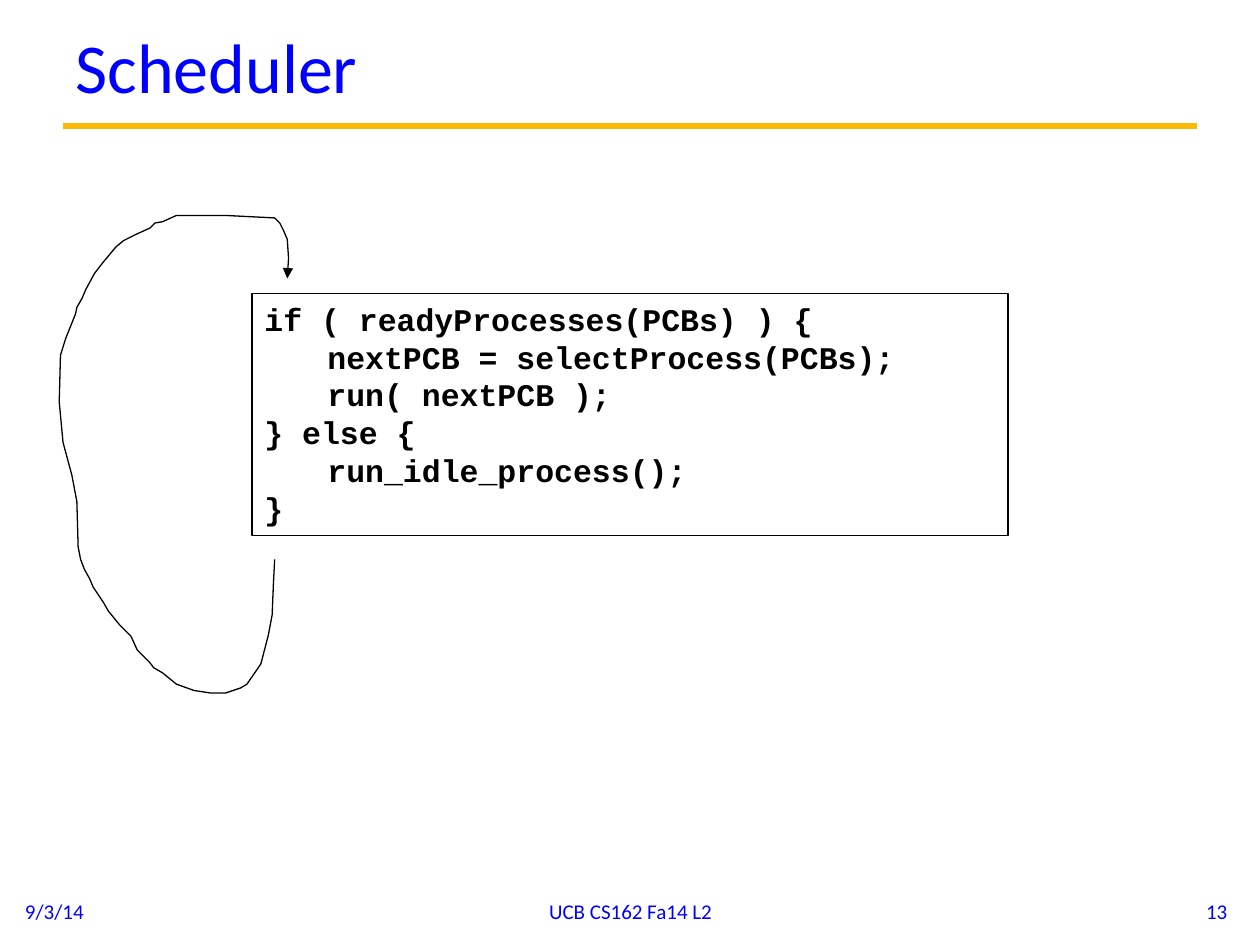
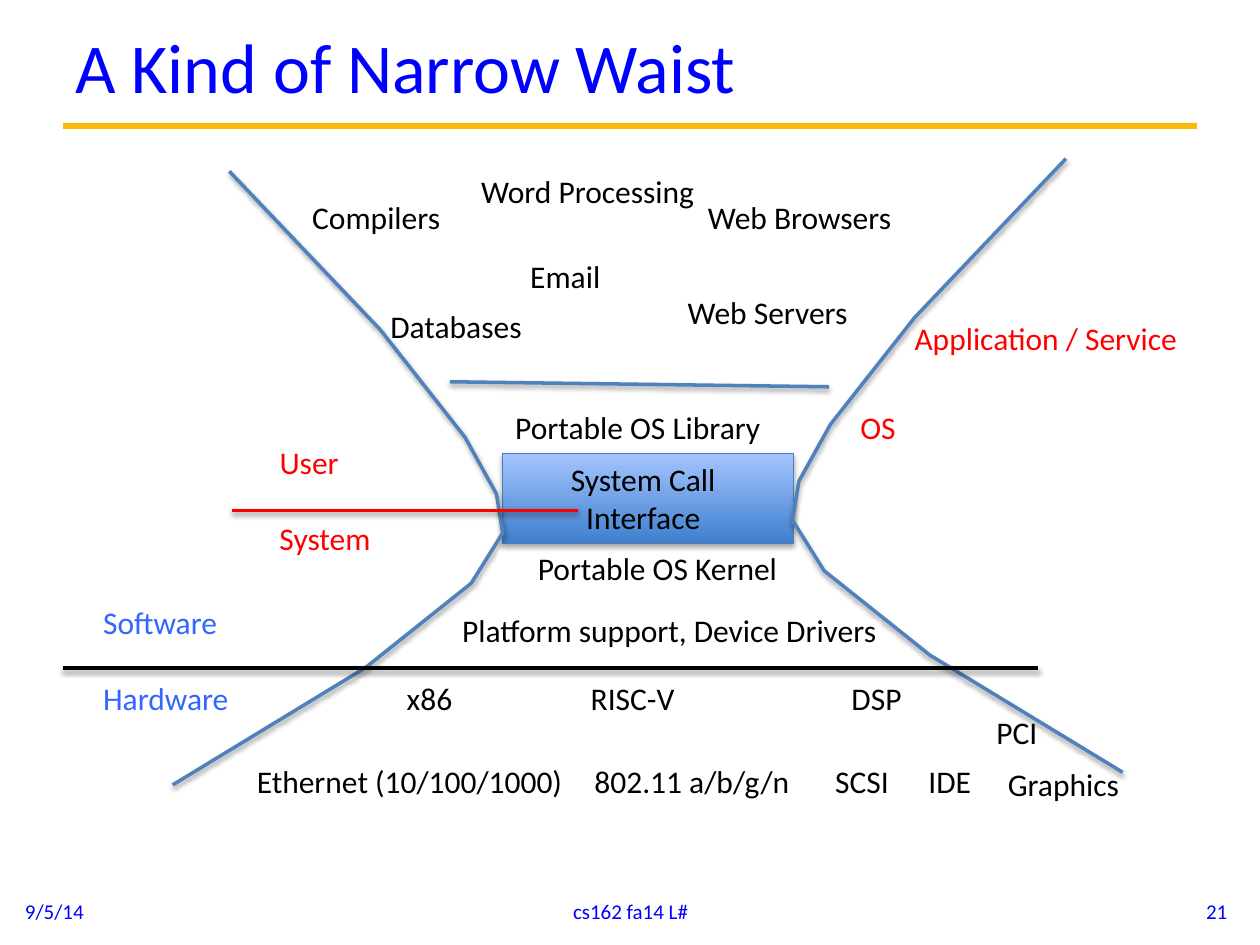
from lxml import etree
from pptx import Presentation
from pptx.dml.color import RGBColor
from pptx.enum.shapes import MSO_CONNECTOR, MSO_SHAPE
from pptx.enum.text import MSO_ANCHOR, MSO_AUTO_SIZE, PP_ALIGN
from pptx.oxml.ns import qn
from pptx.util import Inches, Pt

RECTANGLE = MSO_SHAPE.RECTANGLE
STRAIGHT = MSO_CONNECTOR.STRAIGHT
TOP, MIDDLE = MSO_ANCHOR.TOP, MSO_ANCHOR.MIDDLE
LEFT, CENTER, RIGHT = PP_ALIGN.LEFT, PP_ALIGN.CENTER, PP_ALIGN.RIGHT
FIT_SHAPE = MSO_AUTO_SIZE.SHAPE_TO_FIT_TEXT

COLORS = {
    "title": "0000FF",
    "rule": "FBBA03",
    "ink": "000000",
    "waist": "4F81BD",
    "box_line": "4B7EBC",
    "box_dark": "3F80CE",
    "box_light": "A4C4FF",
    "red": "FF0000",
    "blue": "3366FF",
}
BODY_FONT = "Calibri"
CODE_FONT = "Courier New"
LABEL_HEIGHT = 0.4
LINE_SHADOW = (38, 1.6)
BOX_SHADOW = (35, 1.8)

CODE = [
    "if ( readyProcesses(PCBs) ) {",
    "\tnextPCB = selectProcess(PCBs);",
    "\trun( nextPCB );",
    "} else {",
    "\trun_idle_process();",
    "}",
]
LOOP = [
    (2.18, 4.44), (2.17, 4.63), (2.16, 4.88), (2.13, 5.04), (2.07, 5.27),
    (1.96, 5.43), (1.91, 5.46), (1.79, 5.5), (1.67, 5.5), (1.54, 5.48),
    (1.4, 5.43), (1.29, 5.34), (1.22, 5.3), (1.19, 5.26), (1.09, 5.16),
    (1.04, 5.05), (0.95, 4.96), (0.86, 4.85), (0.82, 4.78), (0.74, 4.66),
    (0.71, 4.59), (0.67, 4.52), (0.64, 4.44), (0.62, 4.34), (0.61, 3.98),
    (0.57, 3.77), (0.5, 3.51), (0.47, 3.19), (0.48, 2.82), (0.52, 2.69),
    (0.6, 2.49), (0.61, 2.44), (0.65, 2.37), (0.68, 2.3), (0.75, 2.17),
    (0.82, 2.08), (0.92, 1.96), (0.98, 1.91), (1.08, 1.86), (1.19, 1.81),
    (1.23, 1.77), (1.29, 1.76), (1.4, 1.71), (1.79, 1.71), (2.18, 1.73),
    (2.22, 1.77), (2.25, 1.83), (2.28, 1.9), (2.29, 2.05), (2.28, 2.21),
]
WAIST_LEFT = [
    (1.82, 1.36), (3.02, 2.62), (3.69, 3.47), (3.94, 3.92),
    (3.99, 4.23), (3.74, 4.63), (2.9, 5.3), (1.37, 6.23),
]
WAIST_RIGHT = [(10.28 - x, y - 0.1) for x, y in WAIST_LEFT]

LABELS = {
    "ink": [
        ("Compilers", 2.38, 1.52, 1.23),
        ("Web Servers", 5.36, 2.28, 1.5),
        ("Web Browsers", 5.52, 1.52, 1.69),
        ("Databases", 3, 2.39, 1.26),
        ("Email", 4.11, 1.99, 0.76),
        ("Word Processing", 3.72, 1.32, 1.93),
        ("Portable OS Library", 3.99, 3.19, 2.18),
        ("Portable OS Kernel", 4.17, 4.31, 2.13),
        ("Platform support, Device Drivers", 3.57, 4.8, 3.6),
        ("x86", 3.13, 5.34, 0.57),
        ("RISC-V", 4.59, 5.34, 1.13),
        ("DSP", 6.66, 5.34, 0.7),
        ("Ethernet (10/100/1000)", 1.94, 6, 2.66),
        ("802.11 a/b/g/n", 4.62, 6, 1.76),
        ("SCSI", 6.53, 6, 0.63),
        ("IDE", 7.27, 6, 0.54),
        ("Graphics", 7.9, 6.02, 1.1),
        ("PCI", 7.81, 5.61, 0.53),
    ],
    "blue": [
        ("Hardware", 0.72, 5.34, 1.22),
        ("Software", 0.72, 4.74, 1.12),
    ],
    "red": [
        ("System", 2.12, 4.07, 0.94),
        ("User", 2.12, 3.47, 0.68),
        ("OS", 6.73, 3.19, 0.49),
        ("Application / Service", 7.16, 2.48, 2.31),
    ],
}


def rgb(name):
    return RGBColor.from_string(COLORS[name])


class Lecture:
    def __init__(self):
        self.deck = Presentation()
        self.deck.slide_width = Inches(10)
        self.deck.slide_height = Inches(7.5)
        self.page = None

    def start_page(self, title, date, course, number):
        self.page = self.deck.slides.add_slide(self.deck.slide_layouts[6])
        self.line((0.5, 1), (9.5, 1), "rule", 3.75, shadow=None)
        self.text([title], (0.5, 0.04, 9, 0.96), "title", 40, anchor=MIDDLE)
        for words, left, width, align in (
            (date, 0.1, 2.33, LEFT),
            (course, 3.42, 3.17, CENTER),
            (number, 7.51, 2.33, RIGHT),
        ):
            self.text([words], (left, 7.03, width, 0.4), "title", 12, align, MIDDLE)

    def fill_text(self, shape, lines, color, size, align=LEFT, font=BODY_FONT, bold=False):
        frame = shape.text_frame
        for index, words in enumerate(lines):
            para = frame.paragraphs[0] if index == 0 else frame.add_paragraph()
            para.alignment = align
            if words.startswith("\t"):
                tabs = etree.SubElement(para._p.get_or_add_pPr(), qn("a:tabLst"))
                etree.SubElement(tabs, qn("a:tab"), pos=str(Inches(0.5)), algn="l")
            para.add_run().text = words
            para.font.name = font
            para.font.size = Pt(size)
            para.font.bold = bold
            para.font.color.rgb = rgb(color)

    def text(self, lines, place, color, size=18, align=LEFT, anchor=TOP, wrap=True):
        box = self.page.shapes.add_textbox(*map(Inches, place))
        box.text_frame.word_wrap = wrap
        box.text_frame.vertical_anchor = anchor
        if not wrap:
            box.text_frame.auto_size = FIT_SHAPE
        self.fill_text(box, lines, color, size, align)

    def finish(self, shape, color, weight, shadow):
        shape.line.color.rgb = rgb(color)
        shape.line.width = Pt(weight)
        effects = etree.SubElement(shape._element.spPr, qn("a:effectLst"))
        if shadow:
            opacity, distance = shadow
            outer = etree.SubElement(
                effects, qn("a:outerShdw"), blurRad=str(Pt(3.1)),
                dist=str(Pt(distance)), dir="5400000", rotWithShape="0")
            tint = etree.SubElement(outer, qn("a:srgbClr"), val=COLORS["ink"])
            etree.SubElement(tint, qn("a:alpha"), val=str(opacity * 1000))

    def line(self, start, end, color, weight=2, shadow=LINE_SHADOW):
        connector = self.page.shapes.add_connector(
            STRAIGHT, *map(Inches, (*start, *end)))
        self.finish(connector, color, weight, shadow)

    def outline(self, points, color, weight=2, shadow=LINE_SHADOW, arrow=False):
        first, *rest = [(Inches(x), Inches(y)) for x, y in points]
        builder = self.page.shapes.build_freeform(*first)
        builder.add_line_segments(rest, close=False)
        shape = builder.convert_to_shape()
        shape.fill.background()
        self.finish(shape, color, weight, shadow)
        if arrow:
            stroke = shape._element.spPr.find(qn("a:ln"))
            etree.SubElement(stroke, qn("a:tailEnd"), type="triangle")

    def rectangle(self, place, color, gradient=None, shadow=None):
        shape = self.page.shapes.add_shape(RECTANGLE, *map(Inches, place))
        if gradient:
            shape.fill.gradient()
            shape.fill.gradient_angle = 90
            for stop, name in zip(shape.fill.gradient_stops, gradient):
                stop.color.rgb = rgb(name)
        else:
            shape.fill.background()
        self.finish(shape, color, 0.75, shadow)
        return shape

    def code(self, lines, place):
        shape = self.rectangle(place, "ink")
        shape.text_frame.vertical_anchor = TOP
        shape.text_frame.auto_size = FIT_SHAPE
        self.fill_text(shape, lines, "ink", 18, font=CODE_FONT, bold=True)


def scheduler(lecture):
    lecture.start_page("Scheduler", "9/3/14", "UCB CS162 Fa14 L2", "13")
    lecture.code(CODE, (2, 2.33, 6, 1.92))
    lecture.outline(LOOP, "ink", 0.75, shadow=None, arrow=True)


def narrow_waist(lecture):
    lecture.start_page("A Kind of Narrow Waist", "9/5/14", "cs162 fa14 L#", "21")
    lecture.rectangle((3.99, 3.6, 2.31, 0.71), "box_line",
                      ("box_dark", "box_light"), BOX_SHADOW)
    lecture.text(["System Call", "Interface"], (4.42, 3.6, 1.37, 0.71), "ink",
                 align=CENTER, wrap=False)
    for side in (WAIST_LEFT, WAIST_RIGHT):
        lecture.outline(side, "waist")
    lecture.line((3.57, 3.03), (6.58, 3.07), "waist")
    lecture.line((0.5, 5.3), (8.24, 5.3), "ink")
    lecture.line((1.84, 4.05), (4.59, 4.05), "red")
    for color, labels in LABELS.items():
        for words, left, top, width in labels:
            lecture.text([words], (left, top, width, LABEL_HEIGHT), color, wrap=False)


def main():
    lecture = Lecture()
    scheduler(lecture)
    narrow_waist(lecture)
    lecture.deck.save("out.pptx")


if __name__ == "__main__":
    main()
